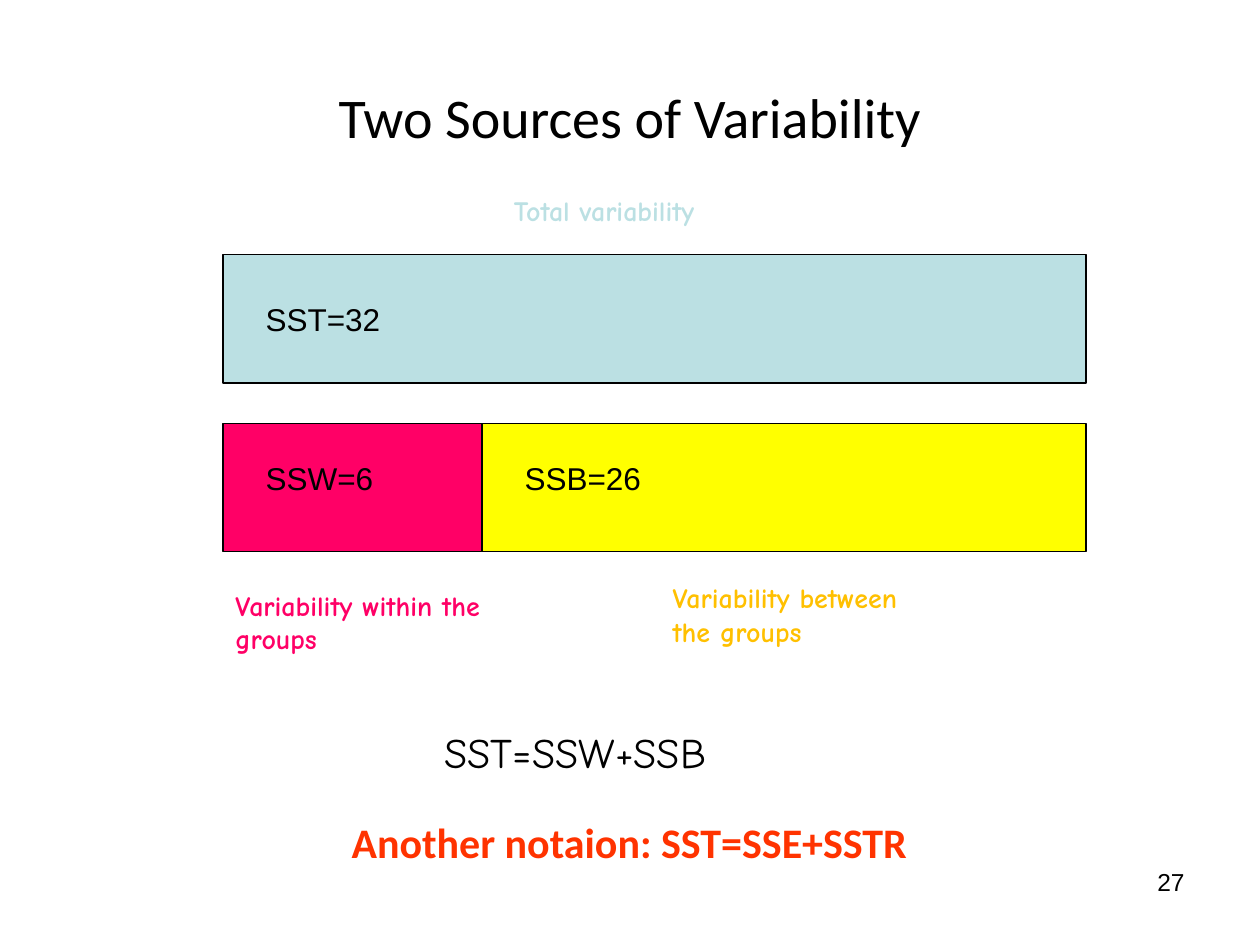
from dataclasses import dataclass

from pptx import Presentation
from pptx.dml.color import RGBColor
from pptx.enum import shapes, text
from pptx.util import Inches, Pt

BLACK = RGBColor(0x00, 0x00, 0x00)
PALE_BLUE = RGBColor(0xBB, 0xE0, 0xE3)
PINK = RGBColor(0xFF, 0x00, 0x66)
YELLOW = RGBColor(0xFF, 0xFF, 0x00)
AMBER = RGBColor(0xFF, 0xC0, 0x00)
ORANGE_RED = RGBColor(0xFF, 0x33, 0x00)

LEFT, CENTER, RIGHT = text.PP_ALIGN.LEFT, text.PP_ALIGN.CENTER, text.PP_ALIGN.RIGHT

# Bar grid, in inches: the lower row is split 30 : 70
BAR_LEFT, BAR_WIDTH, BAR_HEIGHT = 1.77, 6.85, 1.02
BAR_TOP, BAR_PITCH = 2.02, 1.34
WITHIN_SHARE = 0.3

VALUE_STYLE = {"name": "Arial", "size": Pt(18), "bold": False}
CAPTION_STYLE = {"name": "Comic Neue", "size": Pt(16), "bold": True}
FORMULA_STYLE = {"name": "Comic Neue", "size": Pt(24), "bold": False}
NOTE_STYLE = {"name": "Calibri", "size": Pt(24), "bold": True}
NUMBER_STYLE = {"name": "Arial", "size": Pt(14), "bold": False}
TITLE_STYLE = {"name": "Calibri", "size": Pt(32), "bold": False}


@dataclass
class Bar:
    row: int
    start: float  # share of the bar width
    share: float
    color: RGBColor
    value: str
    drop: float  # from bar top to label top


@dataclass
class Label:
    wording: str
    area: tuple[float, float, float, float]
    style: dict
    color: RGBColor = BLACK
    align: text.PP_ALIGN = LEFT


BARS = [
    Bar(0, 0, 1, PALE_BLUE, "SST=32", 0.31),
    Bar(1, 0, WITHIN_SHARE, PINK, "SSW=6", 0.23),
    Bar(1, WITHIN_SHARE, 1 - WITHIN_SHARE, YELLOW, "SSB=26", 0.23),
]
LABELS = [
    Label("Total variability", (3.98, 1.49, 2.21, 0.37), CAPTION_STYLE, PALE_BLUE),
    Label("Variability between the groups", (5.24, 4.56, 2.2, 0.64), CAPTION_STYLE, AMBER),
    Label("Variability within the groups", (BAR_LEFT, 4.62, 2.2, 0.64), CAPTION_STYLE, PINK),
    Label("SST=SSW+SSB", (3.43, 5.72, 3.78, 0.5), FORMULA_STYLE),
    Label("Another notaion: SST=SSE+SSTR", (0.35, 6.43, 9.29, 0.5), NOTE_STYLE, ORANGE_RED, CENTER),
    Label("27", (7.17, 6.83, 2.33, 0.52), NUMBER_STYLE, BLACK, RIGHT),
]


def write(frame, wording: str, style: dict, color: RGBColor, align) -> None:
    frame.word_wrap = True
    para = frame.paragraphs[0]
    para.alignment = align
    span = para.add_run()
    span.text = wording
    for key, value in style.items():
        setattr(span.font, key, value)
    span.font.color.rgb = color


def draw_label(page, label: Label) -> None:
    box = page.shapes.add_textbox(*map(Inches, label.area))
    write(box.text_frame, label.wording, label.style, label.color, label.align)


def draw_bar(page, bar: Bar) -> None:
    left = BAR_LEFT + bar.start * BAR_WIDTH
    top = BAR_TOP + bar.row * BAR_PITCH
    area = (left, top, bar.share * BAR_WIDTH, BAR_HEIGHT)
    box = page.shapes.add_shape(shapes.MSO_SHAPE.RECTANGLE, *map(Inches, area))
    box.shadow.inherit = False
    box.fill.solid()
    box.fill.fore_color.rgb = bar.color
    box.line.color.rgb = BLACK
    box.line.width = Pt(0.75)
    draw_label(page, Label(bar.value, (left + 0.24, top + bar.drop, 1.65, 0.4), VALUE_STYLE))


def main() -> None:
    deck = Presentation()
    deck.slide_width, deck.slide_height = Inches(10), Inches(7.5)
    page = deck.slides.add_slide(deck.slide_layouts[5])

    # Title
    title = page.shapes.title
    title.left, title.top, title.width, title.height = map(Inches, (0.5, 0.3, 9, 1.25))
    title.text_frame.vertical_anchor = text.MSO_ANCHOR.MIDDLE
    write(title.text_frame, "Two Sources of Variability", TITLE_STYLE, BLACK, CENTER)

    # Bars with their values
    for bar in BARS:
        draw_bar(page, bar)

    # Captions, formulas and page number
    for label in LABELS:
        draw_label(page, label)

    deck.save("out.pptx")


if __name__ == "__main__":
    main()
